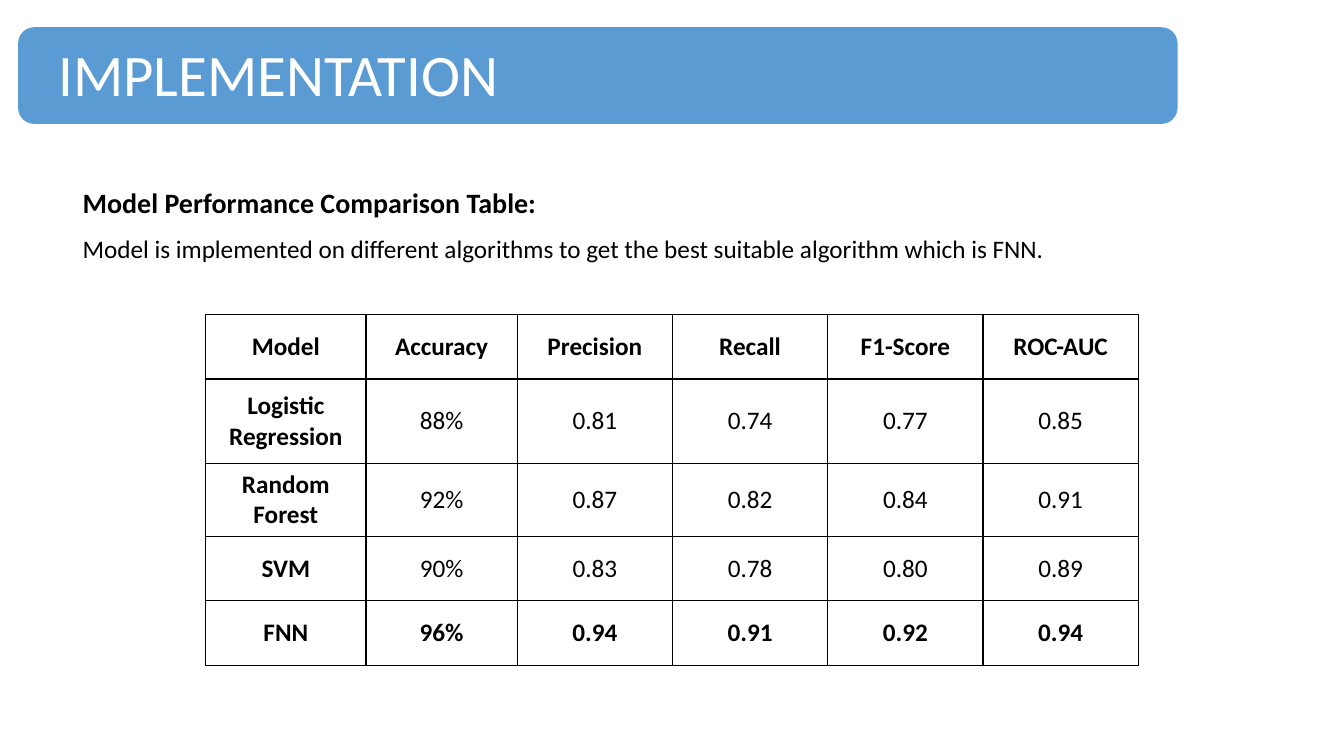
from lxml import etree
from pptx import Presentation
from pptx.dml.color import RGBColor
from pptx.enum.shapes import MSO_SHAPE as SHAPE
from pptx.enum.text import MSO_ANCHOR as ANCHOR, MSO_AUTO_SIZE as AUTO, PP_ALIGN as ALIGN
from pptx.oxml import parse_xml
from pptx.oxml.ns import nsdecls
from pptx.util import Inches, Pt

COLUMNS = [1.59, 1.5, 1.54, 1.54, 1.54, 1.54]
ROW_HEIGHTS = [0.64, 0.84, 0.72, 0.64, 0.64]
RESULTS = [
    ["Model", "Accuracy", "Precision", "Recall", "F1-Score", "ROC-AUC"],
    ["Logistic Regression", "88%", "0.81", "0.74", "0.77", "0.85"],
    ["Random Forest", "92%", "0.87", "0.82", "0.84", "0.91"],
    ["SVM", "90%", "0.83", "0.78", "0.80", "0.89"],
    ["FNN", "96%", "0.94", "0.91", "0.92", "0.94"],
]


def rgb(color):
    return RGBColor.from_string(color)


def write(p, text, size=18, color="000000", bold=False, align=ALIGN.LEFT, spacing=None):
    p.alignment = align
    if spacing:
        p.line_spacing = spacing
    r = p.add_run()
    r.text = text
    r.font.name = "Calibri"
    r.font.size = Pt(size)
    r.font.bold = bold
    r.font.color.rgb = rgb(color)


class Deck:
    blue, white, black = "5B9BD4", "FFFFFF", "000000"

    def __init__(self):
        self.prs = Presentation()
        self.prs.slide_width, self.prs.slide_height = Inches(13.33), Inches(7.5)
        self.s = self.prs.slides.add_slide(self.prs.slide_layouts[5])

    def banner(self, x, y, w, h):
        sp = self.s.shapes.add_shape(SHAPE.ROUNDED_RECTANGLE, *map(Inches, (x, y, w, h)))
        sp.shadow.inherit = False
        sp.fill.solid()
        sp.fill.fore_color.rgb = rgb(self.blue)
        sp.line.fill.background()
        # The banner lies behind the title placeholder
        self.s.shapes.title._element.addprevious(sp._element)

    def title(self, text, x, y, w, h):
        sp = self.s.shapes.title
        sp.left, sp.top, sp.width, sp.height = map(Inches, (x, y, w, h))
        tf = sp.text_frame
        tf.auto_size = AUTO.NONE
        tf.vertical_anchor = ANCHOR.TOP
        tf.margin_left = tf.margin_right = tf.margin_top = tf.margin_bottom = Inches(0.05)
        write(tf.paragraphs[0], text, size=42, color=self.white)

    def intro(self, heading, sentence, x, y, w, h):
        tf = self.s.shapes.add_textbox(*map(Inches, (x, y, w, h))).text_frame
        tf.word_wrap = True
        write(tf.paragraphs[0], heading, size=20, bold=True, spacing=1.5)
        write(tf.add_paragraph(), sentence, spacing=1.5)

    def borders(self, cell):
        for side in ("lnL", "lnR", "lnT", "lnB"):
            ln = parse_xml(f'<a:{side} {nsdecls("a")} w="{Pt(1)}"/>')
            fill = etree.SubElement(ln, ln.tag.replace(side, "solidFill"))
            etree.SubElement(fill, ln.tag.replace(side, "srgbClr"), val=self.black)
            cell._tc.get_or_add_tcPr().append(ln)

    def table(self, rows, x, y, widths, heights):
        frame = self.s.shapes.add_table(len(rows), len(widths), Inches(x), Inches(y),
                                        Inches(sum(widths)), Inches(sum(heights)))
        table = frame.table
        table.first_row = table.horz_banding = False
        for column, width in zip(table.columns, widths):
            column.width = Inches(width)
        for row, height in zip(table.rows, heights):
            row.height = Inches(height)
        for i, values in enumerate(rows):
            for j, value in enumerate(values):
                cell = table.cell(i, j)
                self.borders(cell)
                cell.fill.background()
                cell.vertical_anchor = ANCHOR.MIDDLE
                bold = i in (0, len(rows) - 1) or j == 0
                write(cell.text_frame.paragraphs[0], value, bold=bold, align=ALIGN.CENTER)


def main():
    deck = Deck()
    deck.banner(0.18, 0.27, 11.5, 0.96)
    deck.title("IMPLEMENTATION", 0.53, 0.32, 4.92, 0.81)
    deck.table(RESULTS, 2.04, 3.12, COLUMNS, ROW_HEIGHTS)
    deck.intro("Model Performance Comparison Table:",
               "Model is implemented on different algorithms to get the best "
               "suitable algorithm which is FNN.", 0.72, 1.62, 10.41, 1.01)
    deck.prs.save("out.pptx")


if __name__ == "__main__":
    main()
